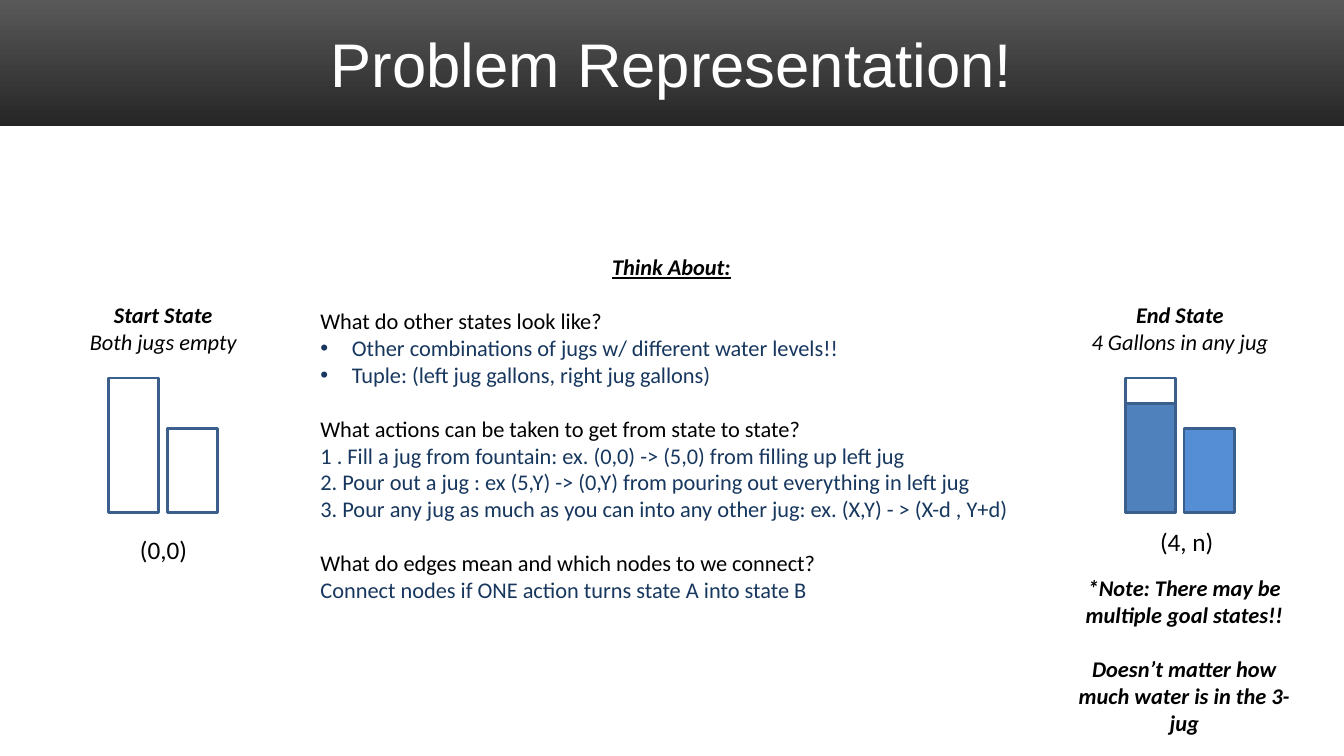
from lxml.etree import SubElement
from pptx import Presentation
from pptx.dml.color import RGBColor
from pptx.enum.shapes import MSO_SHAPE
from pptx.enum.text import MSO_ANCHOR, MSO_AUTO_SIZE, PP_ALIGN
from pptx.oxml.ns import qn
from pptx.util import Pt

# Content
COLORS = {"black": "000000", "white": "FFFFFF", "answer": "17375E",
          "outline": "3A5F8C", "water": "4F81BD", "full": "558ED5",
          "band_top": "595959", "band_bottom": "262626"}
TITLE = "Problem Representation!"

# Each line: text, style words
THINK_ABOUT = [
    ("Think About:", "bold italic underline center"),
    ("What do other states look like?", "gap"),
    ("Other combinations of jugs w/ different water levels!!", "answer bullet"),
    ("Tuple: (left jug gallons, right jug gallons)", "answer bullet"),
    ("What actions can be taken to get from state to state?", "gap"),
    ("1 . Fill a jug from fountain: ex. (0,0) -> (5,0) from filling up left jug", "answer"),
    ("2. Pour out a jug : ex (5,Y) -> (0,Y) from pouring out everything in left jug", "answer"),
    ("3. Pour any jug as much as you can into any other jug: ex. (X,Y) - > (X-d , Y+d)", "answer"),
    ("What do edges mean and which nodes to we connect?", "gap"),
    ("Connect nodes if ONE action turns state A into state B", "answer"),
]
NOTE = [
    ("*Note: There may be multiple goal states!!", "bold italic center"),
    ("Doesn’t matter how much water is in the 3-jug", "bold italic center gap"),
]
# Boxes are left, top, width, height; each jug part is column, height, fill
STATES = [
    {"name": "Start State", "detail": "Both jugs empty", "caption_box": (47.5, 211.7, 138.2, 46),
     "tuple": "(0,0)", "tuple_box": (92.9, 378, 65.5, 29), "jugs_left": 77.5,
     "jugs": [(0, 96, None), (1, 60, None)]},
    {"name": "End State", "detail": "4 Gallons in any jug", "caption_box": (767.5, 211.7, 150.5, 46),
     "tuple": "(4, n)", "tuple_box": (821.5, 372.2, 65.5, 29), "jugs_left": 803.8,
     "jugs": [(0, 96, None), (1, 60, "full"), (0, 78, "water")]},
]
JUG_WIDTH, JUG_STEP, JUG_BASE = 36, 42, 366
LINE_GAP = 19.2

deck = Presentation()
deck.slide_width, deck.slide_height = Pt(960), Pt(540)
slide = deck.slides.add_slide(deck.slide_layouts[6])


def rgb(name):
    return RGBColor.from_string(COLORS[name])


def add_rect(box):
    rect = slide.shapes.add_shape(MSO_SHAPE.RECTANGLE, *map(Pt, box))
    rect.shadow.inherit = False
    return rect


def add_bullet(paragraph):
    props = paragraph._p.get_or_add_pPr()
    props.set("marL", str(Pt(22.5)))
    props.set("indent", str(-Pt(22.5)))
    SubElement(props, qn("a:buFont")).set("typeface", "Arial")
    SubElement(props, qn("a:buChar")).set("char", "•")


def add_text(box, lines, size=16, font="Calibri", color="black"):
    text_box = slide.shapes.add_textbox(*map(Pt, box))
    frame = text_box.text_frame
    frame.word_wrap = True
    frame.auto_size = MSO_AUTO_SIZE.SHAPE_TO_FIT_TEXT
    for i, (text, style) in enumerate(lines):
        styles = style.split()
        paragraph = frame.add_paragraph() if i else frame.paragraphs[0]
        paragraph.text = text
        if "gap" in styles:
            paragraph.space_before = Pt(LINE_GAP)
        if "bullet" in styles:
            add_bullet(paragraph)
        paragraph.alignment = PP_ALIGN.CENTER if "center" in styles else PP_ALIGN.LEFT
        paragraph.font.name, paragraph.font.size = font, Pt(size)
        paragraph.font.bold = "bold" in styles
        paragraph.font.italic = "italic" in styles
        paragraph.font.underline = "underline" in styles
        paragraph.font.color.rgb = rgb("answer" if "answer" in styles else color)
    return frame


# Title band
band = add_rect((0, 0, 960, 90))
band.fill.gradient()
band.fill.gradient_angle = 270
for stop, name in zip(band.fill.gradient_stops, ("band_top", "band_bottom")):
    stop.color.rgb = rgb(name)
band.line.fill.background()
title = add_text((48, 12, 864, 66), [(TITLE, "center")], 44, "Arial", "white")
title.auto_size = MSO_AUTO_SIZE.NONE
title.vertical_anchor = MSO_ANCHOR.MIDDLE

# Start and end states
for state in STATES:
    add_text(state["caption_box"], [(state["name"], "bold italic center"),
                                    (state["detail"], "italic center")])
    for column, height, fill in state["jugs"]:
        jug = add_rect((state["jugs_left"] + column * JUG_STEP, JUG_BASE - height,
                        JUG_WIDTH, height))
        if fill:
            jug.fill.solid()
            jug.fill.fore_color.rgb = rgb(fill)
        else:
            jug.fill.background()
        jug.line.color.rgb = rgb("outline")
        jug.line.width = Pt(2)
    add_text(state["tuple_box"], [(state["tuple"], "")], 18)

# Questions and note
add_text((221.8, 177.6, 515.5, 298), THINK_ABOUT)
add_text((757.4, 406.8, 177.1, 123.8), NOTE)

deck.save("out.pptx")
